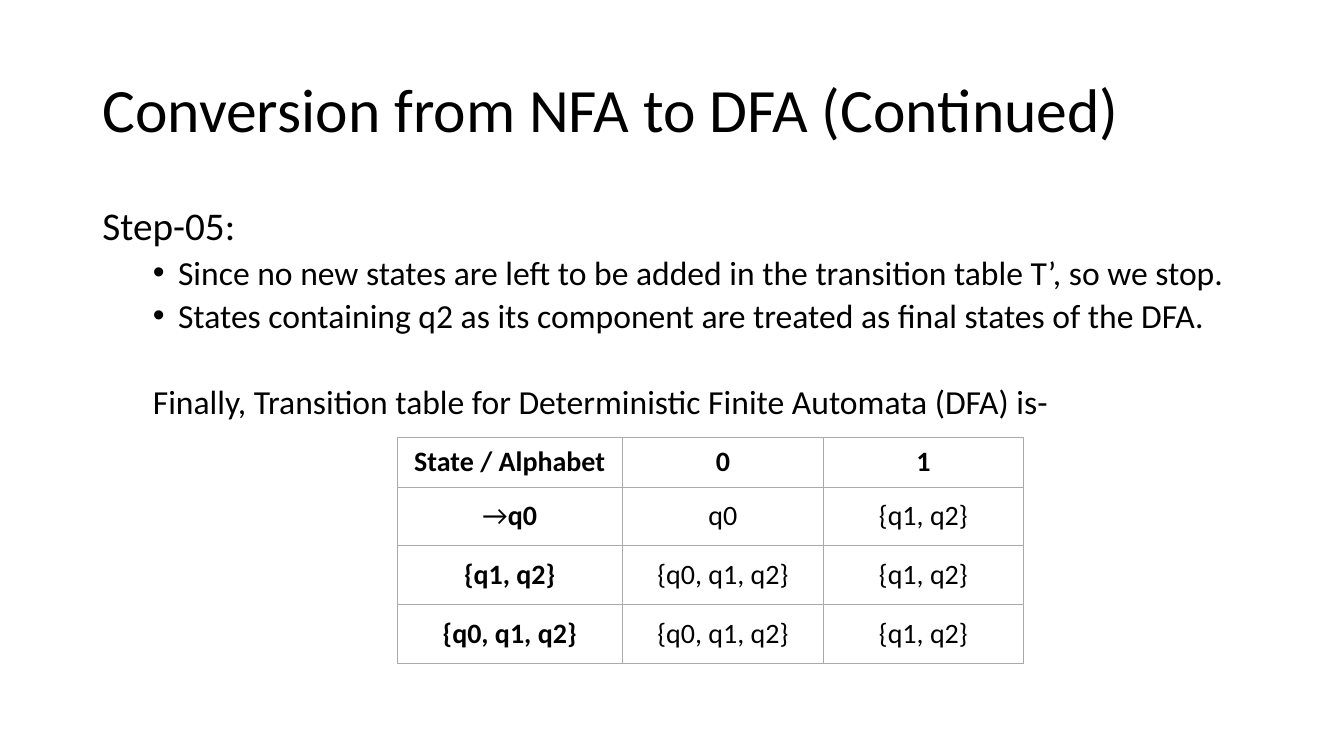
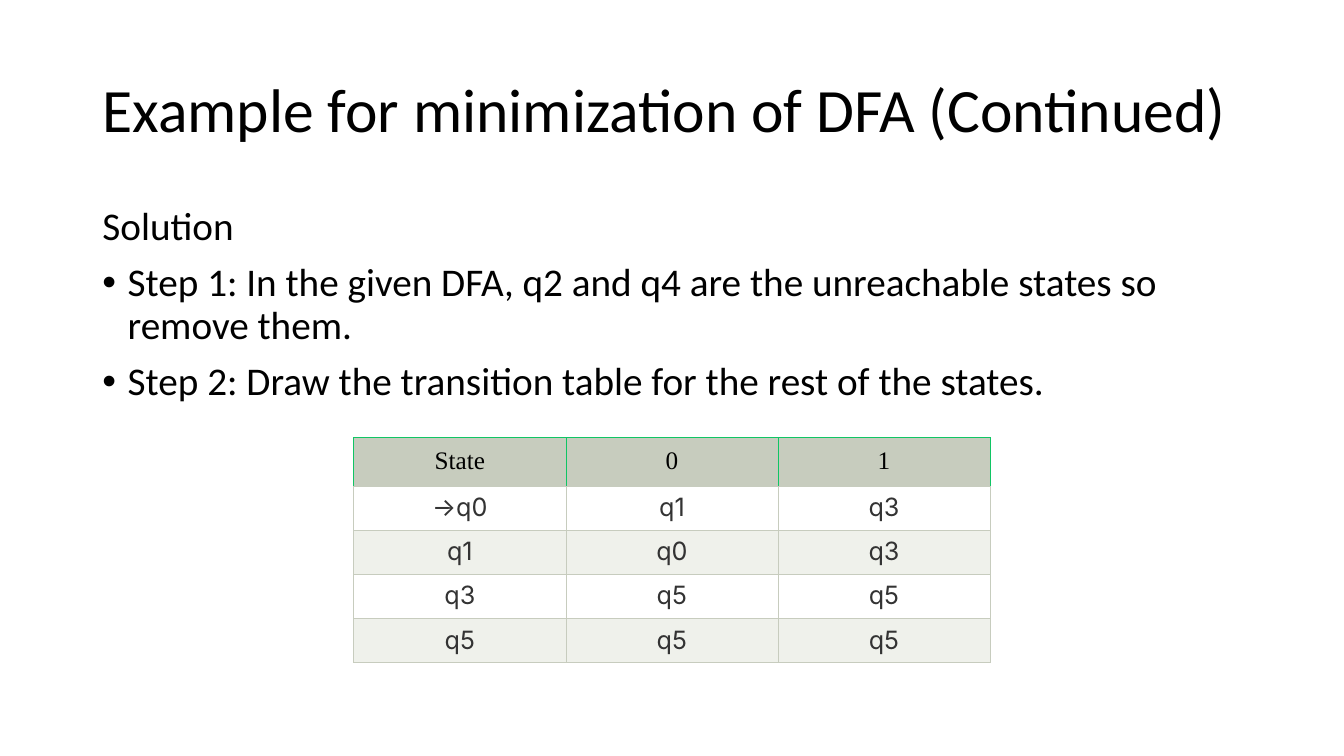
from dataclasses import dataclass

from lxml import etree
from pptx import Presentation
from pptx.dml.color import RGBColor
from pptx.enum.text import MSO_ANCHOR, MSO_AUTO_SIZE, PP_ALIGN
from pptx.oxml.ns import qn
from pptx.util import Emu, Pt

LEFT, CENTER = PP_ALIGN.LEFT, PP_ALIGN.CENTER
TOP, MIDDLE = MSO_ANCHOR.TOP, MSO_ANCHOR.MIDDLE
NO_FIT = MSO_AUTO_SIZE.NONE
START_ARROW = "→"


@dataclass(frozen=True)
class Theme:
    font: str = "Calibri"
    ink: str = "000000"
    paper: str = "FFFFFF"
    title_size: int = 44
    body_size: int = 28
    detail_size: int = 24
    grid_size: int = 20
    banded_size: int = 18
    banded_head_font: str = "Times New Roman"
    banded_font: str = "Inter"
    banded_ink: str = "333333"
    grid_line: str = "AAAAAA"
    sage: str = "C7CCBE"
    band: str = "EFF1EB"
    green: str = "10C564"
    line_width: float = 0.6


@dataclass(frozen=True)
class CellStyle:
    font: str
    size: int
    color: str
    fill: str
    margins: tuple  # horizontal, vertical
    anchor: int
    borders: tuple  # left, right, top, bottom


THEME = Theme()
TITLE_BOX = (88, 38, 1104, 139)
BODY_BOX = (88, 192, 1104, 457)
STEP = 24  # hanging indent of a bullet

GRID = CellStyle(THEME.font, THEME.grid_size, THEME.ink, THEME.paper,
                 (8, 7), MIDDLE, (THEME.grid_line,) * 4)
BANDED_HEAD = CellStyle(THEME.banded_head_font, THEME.banded_size, THEME.ink,
                        THEME.sage, (9, 9), TOP,
                        (THEME.green,) * 3 + (THEME.sage,))
BANDED_ROWS = [CellStyle(THEME.banded_font, THEME.banded_size,
                         THEME.banded_ink, fill, (6, 6), TOP,
                         (THEME.sage,) * 4)
               for fill in (THEME.paper, THEME.band)]


def px(length):
    """Turn px (96 to the inch) into EMU."""
    return Emu(length * 9525)


def set_font(font, name, size, color, bold=False):
    font.name, font.size, font.bold = name, Pt(size), bold
    font.color.rgb = RGBColor.from_string(color)


def place(shape, box):
    shape.left, shape.top, shape.width, shape.height = map(px, box)


# Title and list placeholders
def set_bullet(para, margin, bulleted):
    properties = para._p.get_or_add_pPr()
    properties.set("marL", str(px(margin)))
    properties.set("indent", str(px(-STEP if bulleted else 0)))
    if bulleted:
        font = etree.SubElement(properties, qn("a:buFont"))
        font.set("typeface", "Arial")
        etree.SubElement(properties, qn("a:buChar")).set("char", "•")
    else:
        etree.SubElement(properties, qn("a:buNone"))


def add_item(frame, text, level=0, bulleted=True, before=None):
    first = not frame.text
    para = frame.paragraphs[0] if first else frame.add_paragraph()
    para.level = level
    set_bullet(para, 2 * STEP * level + (STEP if bulleted else 0), bulleted)
    para.alignment = LEFT
    para.line_spacing = 0.9
    if before is None:
        before = 5 if level else 10
    para.space_before = Pt(0 if first else before)
    para.text = text
    size = THEME.detail_size if level else THEME.body_size
    set_font(para.font, THEME.font, size, THEME.ink)


def add_page(deck, heading):
    """Add a page with its title and return it with its body text frame."""
    page = deck.slides.add_slide(deck.slide_layouts[1])
    title, body = page.shapes.title, page.placeholders[1]
    for shape, box, anchor in ((title, TITLE_BOX, MIDDLE),
                               (body, BODY_BOX, TOP)):
        place(shape, box)
        shape.text_frame.auto_size = NO_FIT
        shape.text_frame.vertical_anchor = anchor
    para = title.text_frame.paragraphs[0]
    para.text = heading
    para.alignment, para.line_spacing = LEFT, 0.9
    set_font(para.font, THEME.font, THEME.title_size, THEME.ink)
    return page, body.text_frame


# Tables
def set_borders(cell, colors):
    properties = cell._tc.get_or_add_tcPr()
    for side, color in zip("LRTB", colors):
        line = etree.SubElement(properties, qn(f"a:ln{side}"))
        line.set("w", str(Pt(THEME.line_width)))
        fill = etree.SubElement(line, qn("a:solidFill"))
        etree.SubElement(fill, qn("a:srgbClr")).set("val", color)


def fill_cell(cell, text, style, bold):
    set_borders(cell, style.borders)
    cell.fill.solid()
    cell.fill.fore_color.rgb = RGBColor.from_string(style.fill)
    across, down = map(px, style.margins)
    cell.margin_left = cell.margin_right = across
    cell.margin_top = cell.margin_bottom = down
    cell.vertical_anchor = style.anchor
    para = cell.text_frame.paragraphs[0]
    para.alignment = CENTER
    set_font(para.font, style.font, style.size, style.color, bold)
    if bold and text.startswith(START_ARROW):
        span = para.add_run()
        span.text = START_ARROW
        span.font.bold = False
        text = text[len(START_ARROW):]
    para.add_run().text = text


def add_state_table(page, corner, widths, heights, rows, styles, bold_heads):
    """Draw rows of text, with one cell style for each row."""
    box = (*corner, sum(widths), sum(heights))
    table = page.shapes.add_table(len(rows), len(widths), *map(px, box)).table
    for column, width in zip(table.columns, widths):
        column.width = px(width)
    for row, height in zip(table.rows, heights):
        row.height = px(height)
    for r, (texts, style) in enumerate(zip(rows, styles)):
        for c, text in enumerate(texts):
            bold = bold_heads and (r == 0 or c == 0)
            fill_cell(table.cell(r, c), text, style, bold)


# Pages
def add_conversion_page(deck):
    page, body = add_page(deck, "Conversion from NFA to DFA (Continued)")
    add_item(body, "Step-05:", bulleted=False)
    add_item(body, "Since no new states are left to be added in the "
                   "transition table T’, so we stop.", level=1)
    add_item(body, "States containing q2 as its component are treated as "
                   "final states of the DFA.", level=1)
    add_item(body, "Finally, Transition table for Deterministic Finite "
                   "Automata (DFA) is-", level=1, bulleted=False, before=36)
    rows = [("State / Alphabet", "0", "1"),
            ("→q0", "q0", "{q1, q2}"),
            ("{q1, q2}", "{q0, q1, q2}", "{q1, q2}"),
            ("{q0, q1, q2}", "{q0, q1, q2}", "{q1, q2}")]
    add_state_table(page, (378, 417), (215, 191, 191), [46] + [56] * 3,
                    rows, [GRID] * 4, bold_heads=True)


def add_minimization_page(deck):
    page, body = add_page(deck, "Example for minimization of DFA (Continued)")
    add_item(body, "Solution", bulleted=False)
    add_item(body, "Step 1: In the given DFA, q2 and q4 are the unreachable "
                   "states so remove them.")
    add_item(body, "Step 2: Draw the transition table for the rest of the "
                   "states.")
    rows = [("State", "0", "1"),
            ("→q0", "q1", "q3"),
            ("q1", "q0", "q3"),
            ("q3", "q5", "q5"),
            ("q5", "q5", "q5")]
    add_state_table(page, (337, 417), [202] * 3, [46] + [42] * 4,
                    rows, [BANDED_HEAD] + BANDED_ROWS * 2, bold_heads=False)


def main():
    deck = Presentation()
    deck.slide_width, deck.slide_height = px(1280), px(720)
    add_conversion_page(deck)
    add_minimization_page(deck)
    deck.save("out.pptx")


if __name__ == "__main__":
    main()
